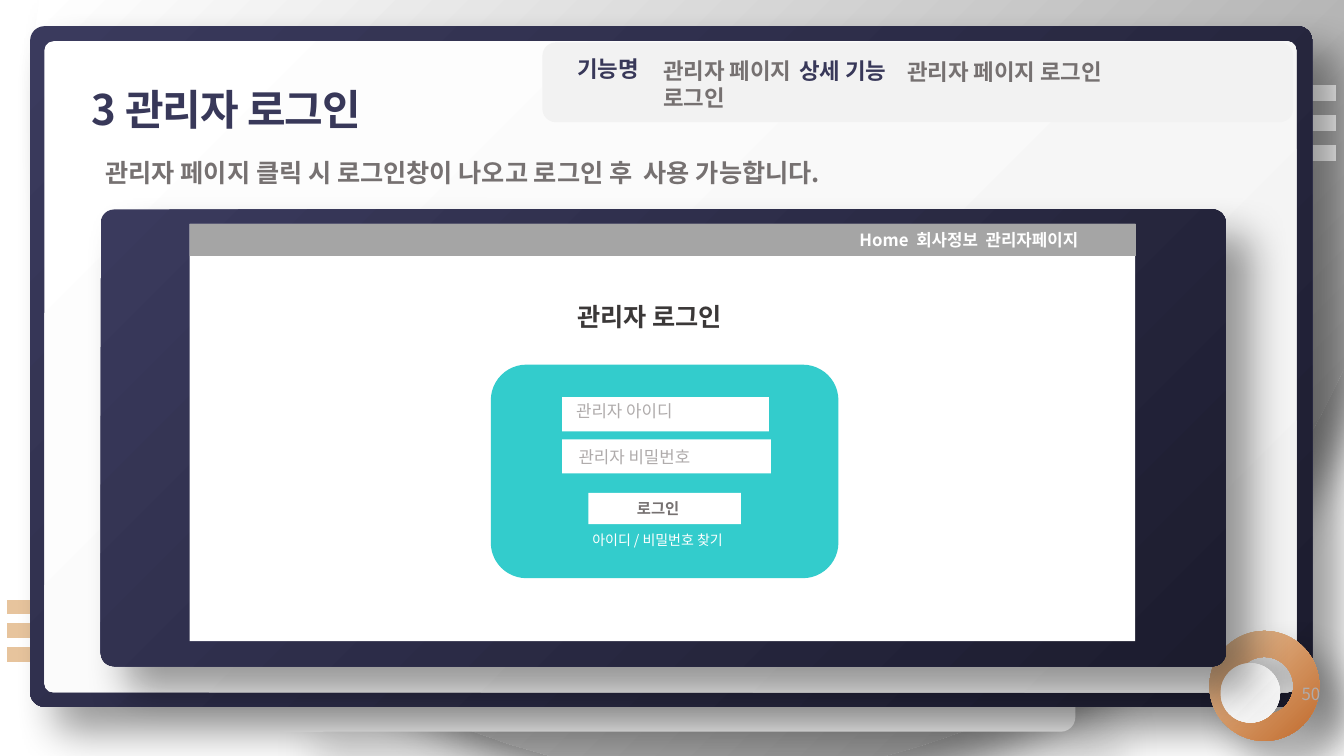
from lxml import etree
from pptx import Presentation
from pptx.dml.color import RGBColor
from pptx.enum.shapes import MSO_CONNECTOR, MSO_SHAPE as Shape
from pptx.enum.text import MSO_ANCHOR, MSO_AUTO_SIZE, PP_ALIGN
from pptx.oxml.ns import qn
from pptx.util import Cm, Pt

FONT = "Noto Sans CJK KR"
COLORS = {
    "white": "FFFFFF", "black": "000000", "pale": "F2F2F2", "silver": "8C8C8C",
    "navy": "3A3A5D", "night": "1C1C2E", "title": "383859",
    "sand": "E7C49D", "copper": "C16A2C", "teal": "33CCCC",
    "bar": "A5A5A5", "body": "767171", "hint": "AFABAB", "dark": "3B3838",
}
NAVY = ("navy", "night")
PAPER = ("white", "pale")


def rgb(name):
    return RGBColor.from_string(COLORS[name])


def curve(p0, p1, p2, p3, steps=24):
    """Points along a cubic Bezier, without its start."""
    for i in range(1, steps + 1):
        t = i / steps
        u = 1 - t
        yield tuple(u**3 * a + 3 * u * u * t * b + 3 * u * t * t * c + t**3 * d
                    for a, b, c, d in zip(p0, p1, p2, p3))


def write(tf, text, size=16, color="body", bold=True, align=PP_ALIGN.LEFT,
          spacing=None, tracking=None):
    p = tf.paragraphs[0]
    p.alignment = align
    if spacing:
        p.line_spacing = spacing
    r = p.add_run()
    r.text = text
    r.font.size = Pt(size)
    r.font.bold = bold
    r.font.name = FONT
    r.font.color.rgb = rgb(color)
    rpr = r.font._element
    etree.SubElement(rpr, qn("a:ea")).set("typeface", FONT)
    if tracking:
        rpr.set("spc", str(round(tracking * 100)))


class Deck:
    def __init__(self):
        self.prs = Presentation()
        self.prs.slide_width, self.prs.slide_height = Cm(33.87), Cm(19.05)
        self.s = self.prs.slides.add_slide(self.prs.slide_layouts[5])

    def paint(self, sp, fill, shadow=None):
        """Fill with one colour or a diagonal pair; shadow is (opacity %, distance pt)."""
        sp.shadow.inherit = False
        sp.line.fill.background()
        if isinstance(fill, tuple):
            sp.fill.gradient()
            sp.fill.gradient_angle = 315
            for stop, name in zip(sp.fill.gradient_stops, fill):
                stop.color.rgb = rgb(name)
        else:
            sp.fill.solid()
            sp.fill.fore_color.rgb = rgb(fill)
        if shadow:
            opacity, distance = shadow
            effects = sp.element.spPr.find(qn("a:effectLst"))
            outer = etree.SubElement(
                effects, qn("a:outerShdw"), blurRad=str(Pt(30)),
                dist=str(Pt(distance)), dir="2700000", algn="tl", rotWithShape="0")
            clr = etree.SubElement(outer, qn("a:srgbClr"), val=COLORS["black"])
            etree.SubElement(clr, qn("a:alpha"), val=str(opacity * 1000))

    def shape(self, kind, box, fill, adj=None, shadow=None):
        sp = self.s.shapes.add_shape(kind, *map(Cm, box))
        if adj is not None:
            sp.adjustments[0] = adj
        self.paint(sp, fill, shadow)

    def outline(self, points, fill, shadow=None):
        start, *rest = [(Cm(x), Cm(y)) for x, y in points]
        builder = self.s.shapes.build_freeform(*start)
        builder.add_line_segments(rest, close=True)
        self.paint(builder.convert_to_shape(), fill, shadow)

    def stripes(self, x1, x2, top, step, color, width):
        for i in range(3):
            y = Cm(top + i * step)
            line = self.s.shapes.add_connector(
                MSO_CONNECTOR.STRAIGHT, Cm(x1), y, Cm(x2), y)
            line.line.color.rgb = rgb(color)
            line.line.width = Pt(width)
            etree.SubElement(line.element.spPr, qn("a:effectLst"))

    def text(self, box, text, **style):
        tf = self.s.shapes.add_textbox(*map(Cm, box)).text_frame
        tf.word_wrap = True
        write(tf, text, **style)

    def title(self, box, text, **style):
        sp = self.s.shapes.title
        sp.left, sp.top, sp.width, sp.height = map(Cm, box)
        tf = sp.text_frame
        tf.margin_left = tf.margin_top = tf.margin_right = tf.margin_bottom = 0
        tf.vertical_anchor = MSO_ANCHOR.MIDDLE
        tf.auto_size = MSO_AUTO_SIZE.NONE
        write(tf, text, **style)
        sp.element.getparent().append(sp.element)


def draw_backdrop(deck):
    deck.stripes(0.18, 4.55, 15.29, 0.6, "sand", 10.25)
    right, bottom, left = (33.63, 9.78), (13.77, 19.02), (0.84, 2.31)
    deck.outline([
        (0.99, 0), (33.87, 0), (33.87, 9.27), right,
        *curve(right, (31.45, 14.33), (27.36, 17.73), (22.4, 19.02)),
        (22.25, 19.05), (13.92, 19.05), bottom,
        *curve(bottom, (6.32, 17.09), (0.84, 10.34), left),
        *curve(left, (0.84, 1.73), (0.86, 1.12), (0.91, 0.56)),
    ], ("white", "silver"), shadow=(40, 26))
    deck.stripes(29.26, 33.68, 2.34, 0.76, "white", 11.75)
    rounded = Shape.ROUNDED_RECTANGLE
    deck.shape(rounded, (6.78, 16.94, 20.32, 1.5), "white", 0.245, (12, 46))
    deck.shape(rounded, (0.76, 0.66, 32.31, 17.15), NAVY, 0.021, (40, 26))
    deck.shape(rounded, (1.12, 1.04, 31.55, 16.41), PAPER, 0.014)
    deck.shape(Shape.DONUT, (30.48, 15.9, 2.77, 2.77), ("sand", "copper"), 0.236, (40, 26))
    deck.shape(Shape.OVAL, (30.76, 16.71, 1.5, 1.5), PAPER)
    deck.text((31.5, 17.1, 2.02, 0.8), "50", size=12, color="hint",
              bold=False, align=PP_ALIGN.RIGHT)


def draw_header(deck):
    rounded = Shape.ROUNDED_RECTANGLE
    deck.shape(rounded, (13.67, 1.07, 18.92, 2.01), "pale")
    deck.shape(rounded, (2.54, 5.28, 28.35, 11.51), NAVY, 0.029, (40, 26))
    deck.title((2.31, 1.8, 10.82, 1.63), "3 관리자 로그인", size=30,
               color="title", spacing=1.2, tracking=-0.6)
    deck.text((2.41, 3.84, 23.09, 1.02),
              "관리자 페이지 클릭 시 로그인창이 나오고 로그인 후  사용 가능합니다.", size=18)
    for box, label, color in (
        ((14.3, 1.27, 2.74, 0.94), "기능명", "title"),
        ((16.46, 1.32, 3.94, 1.63), "관리자 페이지 로그인", "body"),
        ((19.89, 1.32, 3.28, 0.94), "상세 기능", "title"),
        ((22.61, 1.35, 9.37, 0.94), "관리자 페이지 로그인", "body"),
    ):
        deck.text(box, label, color=color)


def draw_login_screen(deck):
    rect = Shape.RECTANGLE
    deck.shape(rect, (4.78, 5.64, 23.83, 10.52), "white")
    deck.shape(rect, (4.78, 5.64, 23.85, 0.81), "bar")
    deck.text((21.41, 5.66, 6.83, 0.76), "Home  회사정보  관리자페이지",
              size=12, color="white")
    deck.text((14.3, 7.47, 5, 1.02), "관리자 로그인", size=18, color="dark")
    deck.shape(Shape.ROUNDED_RECTANGLE, (12.37, 9.19, 8.76, 5.38), "teal")
    for field, box, hint in (
        ((14.17, 10.01, 5.21, 0.86), (14.27, 9.98, 3.99, 0.76), "관리자 아이디"),
        ((14.17, 11.07, 5.26, 0.86), (14.33, 11.13, 3.68, 0.76), "관리자 비밀번호"),
    ):
        deck.shape(rect, field, "white")
        deck.text(box, hint, size=12, color="hint", bold=False)
    deck.shape(rect, (14.83, 12.42, 3.84, 0.79), "white")
    deck.text((15.8, 12.45, 2.74, 0.74), "로그인", size=11)
    deck.text((14.68, 13.26, 4.7, 0.69), "아이디 / 비밀번호 찾기", size=10,
              color="white", bold=False)


def main():
    deck = Deck()
    draw_backdrop(deck)
    draw_header(deck)
    draw_login_screen(deck)
    deck.prs.save("out.pptx")


if __name__ == "__main__":
    main()
